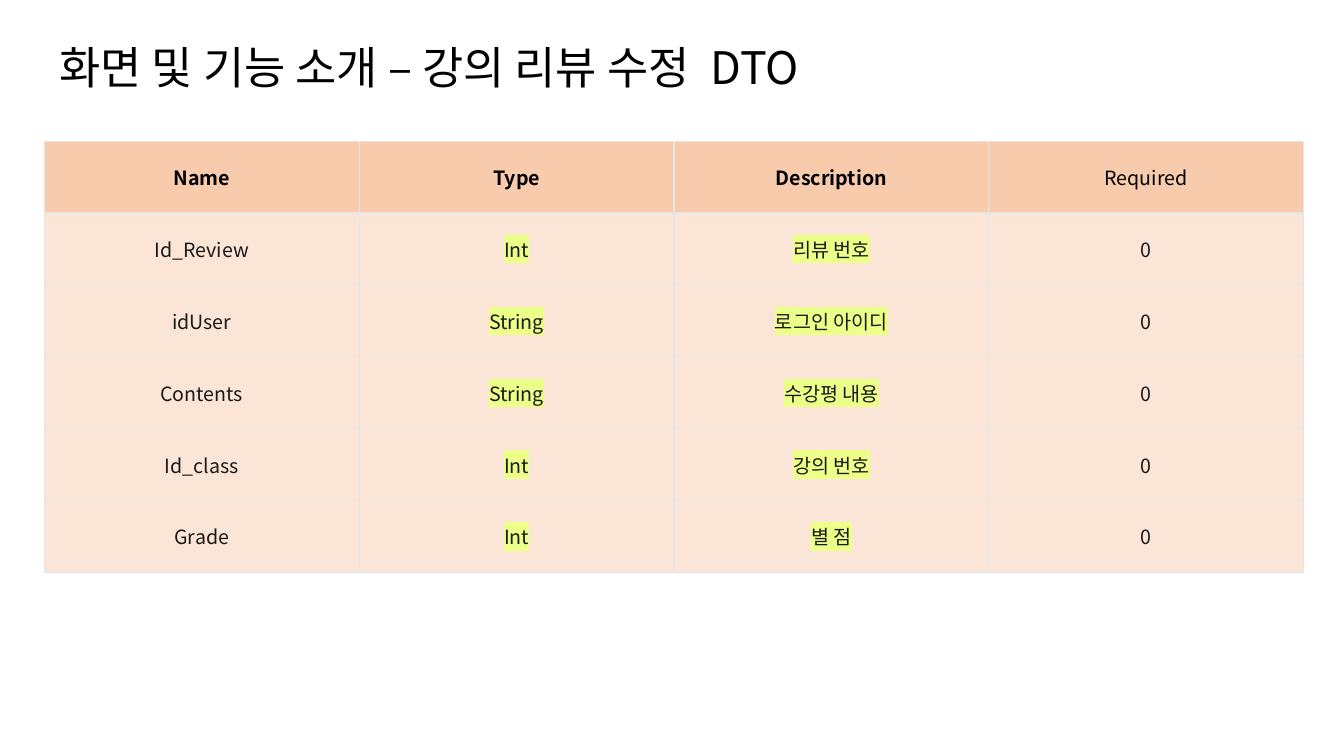
from dataclasses import dataclass

from lxml.etree import SubElement
from pptx import Presentation
from pptx.dml.color import RGBColor
from pptx.enum.text import MSO_ANCHOR, PP_ALIGN
from pptx.oxml.ns import qn
from pptx.slide import Slide
from pptx.table import _Cell
from pptx.text.text import TextFrame
from pptx.util import Inches, Pt

FONT = "Noto Sans CJK KR"
BLACK = RGBColor(0x00, 0x00, 0x00)
INK = RGBColor(0x1A, 0x1A, 0x1A)
HEADER_FILL = RGBColor(0xF8, 0xCB, 0xAD)
BODY_FILL = RGBColor(0xFB, 0xE5, 0xD6)
BORDER = RGBColor(0xE6, 0xE6, 0xE6)
HIGHLIGHT = RGBColor(0xEC, 0xFF, 0x88)


@dataclass(frozen=True)
class Field:
    name: str
    type: str
    description: str
    required: str = "0"


HEADER = Field("Name", "Type", "Description", "Required")
FIELDS = [
    Field("Id_Review", "Int", "리뷰 번호"),
    Field("idUser", "String", "로그인 아이디"),
    Field("Contents", "String", "수강평 내용"),
    Field("Id_class", "Int", "강의 번호"),
    Field("Grade", "Int", "별 점"),
]


def add_text(tf: TextFrame, text: str, *, size: float = 14,
             color: RGBColor = INK, bold: bool = False,
             align: PP_ALIGN = PP_ALIGN.CENTER, line_spacing: float = 1.0,
             highlight: RGBColor | None = None) -> None:
    p = tf.paragraphs[0]
    p.alignment = align
    p.line_spacing = line_spacing
    r = p.add_run()
    r.text = text
    r.font.size = Pt(size)
    r.font.bold = bold
    r.font.color.rgb = color
    props = r.font._element
    if highlight is not None:
        mark = SubElement(props, qn("a:highlight"))
        SubElement(mark, qn("a:srgbClr"), val=str(highlight))
    for script in ("a:latin", "a:ea"):
        SubElement(props, qn(script), typeface=FONT)


def style_cell(cell: _Cell, fill: RGBColor) -> None:
    # Borders come before the fill in the cell properties
    props = cell._tc.get_or_add_tcPr()
    for side in ("a:lnL", "a:lnR", "a:lnT", "a:lnB"):
        line = SubElement(props, qn(side), w=str(Pt(1)))
        paint = SubElement(line, qn("a:solidFill"))
        SubElement(paint, qn("a:srgbClr"), val=str(BORDER))
    cell.fill.solid()
    cell.fill.fore_color.rgb = fill
    cell.vertical_anchor = MSO_ANCHOR.MIDDLE


def add_title(s: Slide, text: str) -> None:
    sp = s.shapes.add_textbox(Inches(0.49), Inches(0.34), Inches(12.22), Inches(0.7))
    tf = sp.text_frame
    tf.word_wrap = True
    tf.vertical_anchor = MSO_ANCHOR.MIDDLE
    add_text(tf, text, size=32, color=BLACK, align=PP_ALIGN.LEFT, line_spacing=0.9)


def add_field_table(s: Slide, header: Field, fields: list[Field]) -> None:
    rows = [header, *fields]
    table = s.shapes.add_table(len(rows), 4, Inches(0.44), Inches(1.4),
                               Inches(12.49), Inches(4.28)).table
    for i, field in enumerate(rows):
        is_header = field is header
        values = (field.name, field.type, field.description, field.required)
        for j, value in enumerate(values):
            cell = table.cell(i, j)
            style_cell(cell, HEADER_FILL if is_header else BODY_FILL)
            add_text(cell.text_frame, value,
                     color=BLACK if is_header else INK,
                     bold=is_header and j < 3,
                     highlight=HIGHLIGHT if not is_header and j in (1, 2) else None)


def main() -> None:
    prs = Presentation()
    prs.slide_width, prs.slide_height = Inches(13.33), Inches(7.5)
    s = prs.slides.add_slide(prs.slide_layouts[6])

    # Field table, then the title
    add_field_table(s, HEADER, FIELDS)
    add_title(s, "화면 및 기능 소개 – 강의 리뷰 수정  DTO")
    prs.save("out.pptx")


if __name__ == "__main__":
    main()
